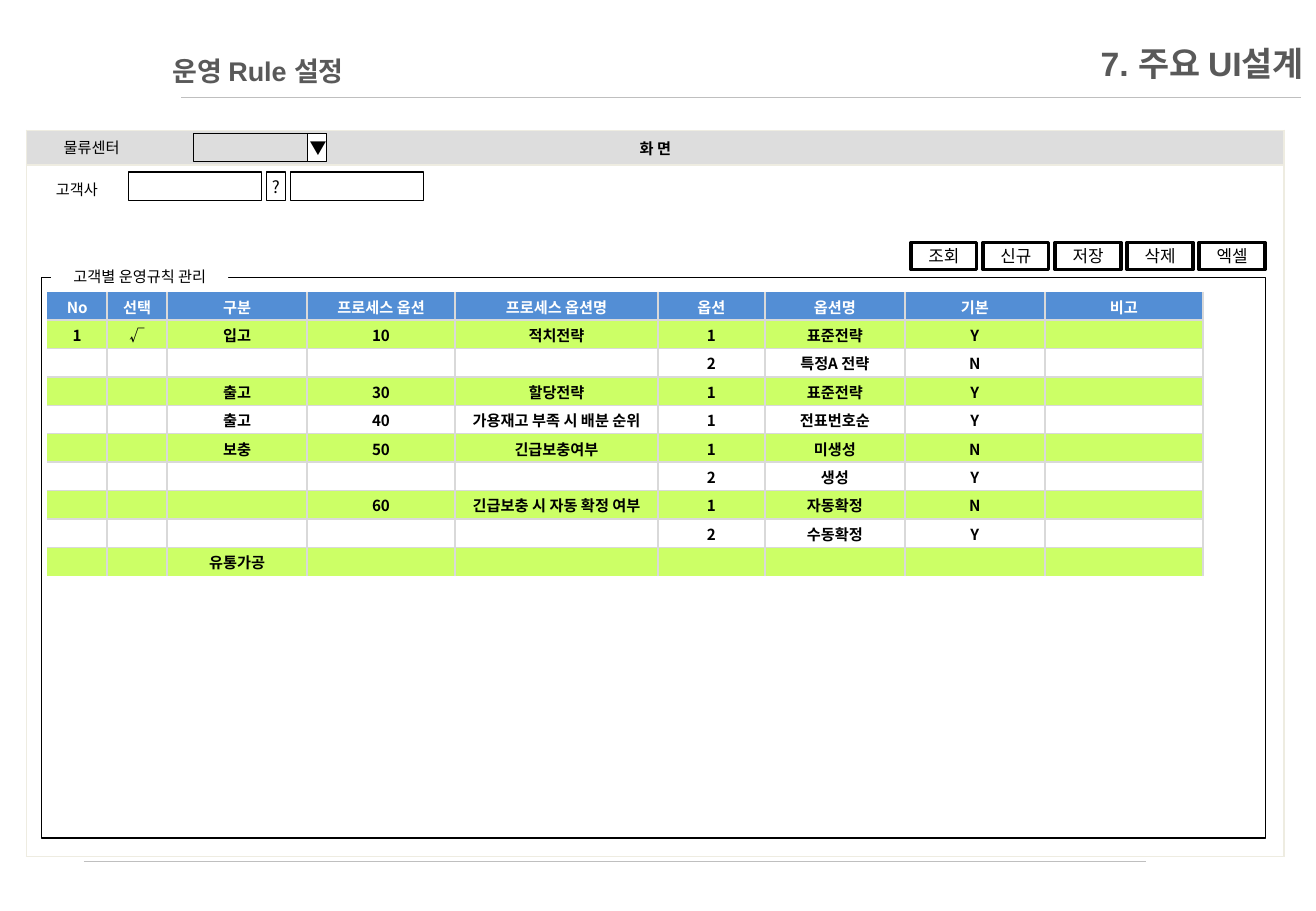
import pptx
import pptx.util
import pptx.dml.color
import pptx.enum.dml
import pptx.enum.shapes
import pptx.enum.text
import pptx.oxml.ns
import lxml.etree

Pt = pptx.util.Pt
ALIGN = pptx.enum.text.PP_ALIGN
MID = pptx.enum.text.MSO_ANCHOR.MIDDLE
TOP = pptx.enum.text.MSO_ANCHOR.TOP
KOREAN = "Noto Sans CJK KR"
BLACK, WHITE, GRID, LIME = "000000", "FFFFFF", "D9D9D9", "CCFF66"
WIDTHS = [35.5, 35.5, 83, 87.7, 120.3, 63.4, 83, 83, 93.6]
ROWS = [
    ["No", "선택", "구분", "프로세스 옵션", "프로세스 옵션명", "옵션", "옵션명", "기본", "비고"],
    ["1", "√", "입고", "10", "적치전략", "1", "표준전략", "Y", ""],
    ["", "", "", "", "", "2", "특정A 전략", "N", ""],
    ["", "", "출고", "30", "할당전략", "1", "표준전략", "Y", ""],
    ["", "", "출고", "40", "가용재고 부족 시 배분 순위", "1", "전표번호순", "Y", ""],
    ["", "", "보충", "50", "긴급보충여부", "1", "미생성", "N", ""],
    ["", "", "", "", "", "2", "생성", "Y", ""],
    ["", "", "", "60", "긴급보충 시 자동 확정 여부", "1", "자동확정", "N", ""],
    ["", "", "", "", "", "2", "수동확정", "Y", ""],
    ["", "", "유통가공", "", "", "", "", "", ""],
]


def color(code):
    return pptx.dml.color.RGBColor.from_string(code)


def add(parent, tag, **attrs):
    return lxml.etree.SubElement(parent, pptx.oxml.ns.qn(tag), attrs)


def write(frame, text, size, code=BLACK, bold=False, align=ALIGN.CENTER, face=KOREAN):
    frame.text = text
    para = frame.paragraphs[0]
    para.alignment = align
    para.font.size = Pt(size)
    for run in para.runs:
        run.font.size = Pt(size)
        run.font.bold = bold
        run.font.name = face
        run.font.color.rgb = color(code)
        add(run.font._element, "a:ea", typeface=KOREAN)


def label(slide, x, y, w, h, text, size, anchor=TOP, **style):
    box = slide.shapes.add_textbox(Pt(x), Pt(y), Pt(w), Pt(h))
    frame = box.text_frame
    frame.word_wrap = True
    frame.vertical_anchor = anchor
    write(frame, text, size, **style)


def block(slide, x, y, w, h, fill=WHITE, line=0.75):
    kind = pptx.enum.shapes.MSO_SHAPE.RECTANGLE
    shape = slide.shapes.add_shape(kind, Pt(x), Pt(y), Pt(w), Pt(h))
    shape.shadow.inherit = False
    if fill:
        shape.fill.solid()
        shape.fill.fore_color.rgb = color(fill)
    else:
        shape.fill.background()
    if line:
        shape.line.color.rgb = color(BLACK)
        shape.line.width = Pt(line)
    else:
        shape.line.fill.background()
    return shape


def button(slide, x, y, w, h, text, line=0.75, align=ALIGN.CENTER):
    frame = block(slide, x, y, w, h, line=line).text_frame
    frame.word_wrap = False
    frame.vertical_anchor = MID
    frame.margin_left = frame.margin_right = Pt(1.4)
    frame.margin_top = frame.margin_bottom = Pt(2.9)
    write(frame, text, 10, align=align)


def rule(slide, x, y, w):
    kind = pptx.enum.shapes.MSO_CONNECTOR.STRAIGHT
    line = slide.shapes.add_connector(kind, Pt(x), Pt(y), Pt(x + w), Pt(y))
    line.line.color.rgb = color("BFBFBF")
    line.line.width = Pt(0.25)
    line.line.dash_style = pptx.enum.dml.MSO_LINE.ROUND_DOT
    add(line._element.spPr, "a:effectLst")


def table(slide, x, y, widths, heights):
    shape = slide.shapes.add_table(len(heights), len(widths), Pt(x), Pt(y),
                                   Pt(sum(widths)), Pt(sum(heights)))
    grid = shape.table
    grid.first_row = grid.horz_banding = False
    for col, width in zip(grid.columns, widths):
        col.width = Pt(width)
    for row, height in zip(grid.rows, heights):
        row.height = Pt(height)
    return grid


def paint(cell, fill, edge, sides="LRTB"):
    props = cell._tc.get_or_add_tcPr()
    for side in "LRTB":
        line = add(props, "a:ln" + side, w=str(Pt(1)))
        if side in sides:
            add(add(line, "a:solidFill"), "a:srgbClr", val=edge)
        else:
            add(line, "a:noFill")
    if fill:
        cell.fill.solid()
        cell.fill.fore_color.rgb = color(fill)
    else:
        cell.fill.background()


def head(slide, x, y, w, h):
    style = dict(anchor=MID, code="595959", bold=True, face="Arial")
    rule(slide, x + 29.3, y + 36.7, 663.8)
    label(slide, x, y, w, h, "7. 주요 UI설계", 20, align=ALIGN.RIGHT, **style)
    label(slide, x + 17.3, y + 5, 269, h, "운영 Rule 설정", 16, align=ALIGN.LEFT, **style)


def screen(slide, x, y, w, h):
    bar = 20.6
    grid = table(slide, x, y, [w], [bar, h - bar])
    for cell, text, fill in zip(grid.iter_cells(), ["화 면", ""], ["DDDDDD", None]):
        paint(cell, fill, "EEECE1")
        cell.margin_left = cell.margin_right = Pt(1.4)
        cell.margin_top = cell.margin_bottom = 0
        cell.vertical_anchor = MID
        write(cell.text_frame, text, 9, bold=True, face="Arial")


def rules(slide, x, y, w, h):
    block(slide, x, y, w, h, fill=None)
    frame = block(slide, x + 5.8, y - 9.4, 105, 18, line=None).text_frame
    frame.vertical_anchor = TOP
    frame.word_wrap = True
    write(frame, "고객별 운영규칙 관리", 9)
    grid = table(slide, x + 3.5, y + 8.5, WIDTHS, [16.85] * len(ROWS))
    for i, row in enumerate(ROWS):
        for j, text in enumerate(row):
            cell = grid.cell(i, j)
            sides = "R" + "L" * (j > 0) + "T" * (i > 0) + "B" * (i < len(ROWS) - 1)
            fill = LIME if i % 2 else None
            paint(cell, fill if i else "538ED5", GRID, sides)
            cell.margin_left = cell.margin_right = cell.margin_top = Pt(0.7)
            cell.margin_bottom = 0
            cell.vertical_anchor = MID
            write(cell.text_frame, text, 9, BLACK if i else WHITE, True)


def search(slide, x, y, w, h):
    tall = 16.8
    label(slide, x + 14, y, 84, 18, "물류센터", 9, align=ALIGN.LEFT)
    block(slide, x + 98, y + 0.6, 79, tall, fill=None)
    button(slide, x + 165.6, y + 0.6, 11.4, tall, "▼", align=ALIGN.LEFT)
    low = y + h - tall
    label(slide, x, low + 1.2, 58, 18, "고객사", 9)
    block(slide, x + 59.6, low, 79, tall)
    button(slide, x + 141.2, low, 11.4, tall, "?")
    block(slide, x + w - 79, low, 79, tall)


def buttons(slide, x, y, w, h):
    names = ["조회", "신규", "저장", "삭제", "엑셀"]
    wide = 39
    step = (w - wide) / (len(names) - 1)
    for i, name in enumerate(names):
        button(slide, x + i * step, y, wide, h, name, line=2)


def main():
    deck = pptx.Presentation()
    deck.slide_width, deck.slide_height = Pt(780), Pt(540)
    slide = deck.slides.add_slide(deck.slide_layouts[6])
    head(slide, 78, 21, 702, 32.4)
    rule(slide, 49.7, 510.5, 629.3)
    screen(slide, 15.8, 77.2, 745.2, 430.6)
    rules(slide, 24.5, 164.4, 725.6, 332.4)
    search(slide, 16.6, 78.4, 234.4, 40.4)
    buttons(slide, 540, 143.8, 209.8, 16)
    deck.save("out.pptx")


if __name__ == "__main__":
    main()
